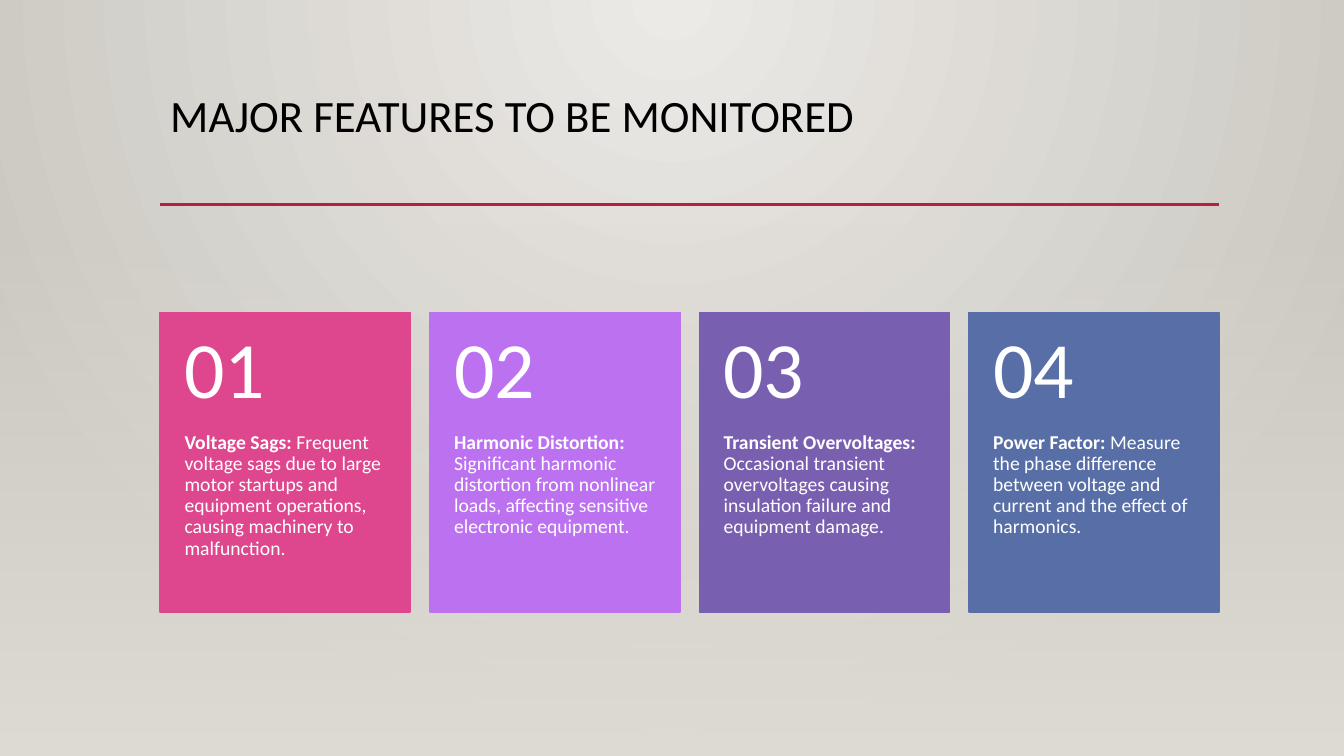
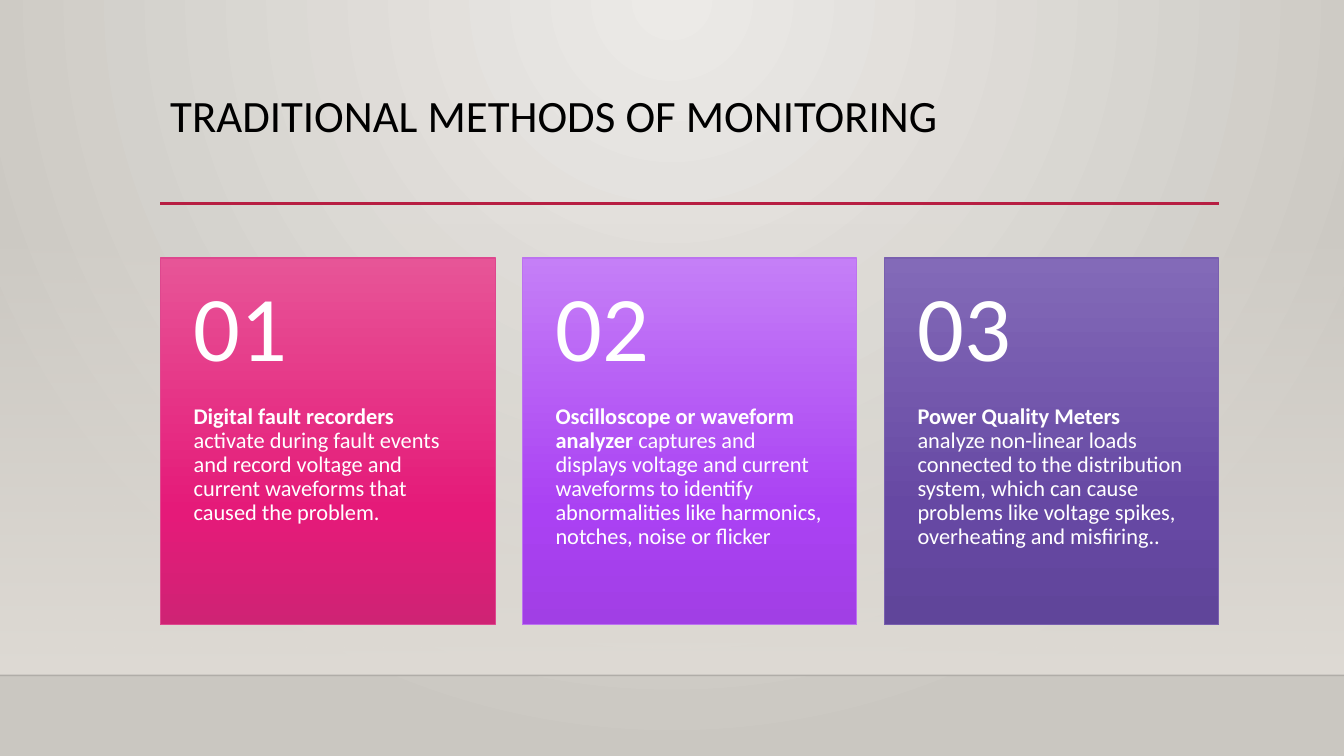
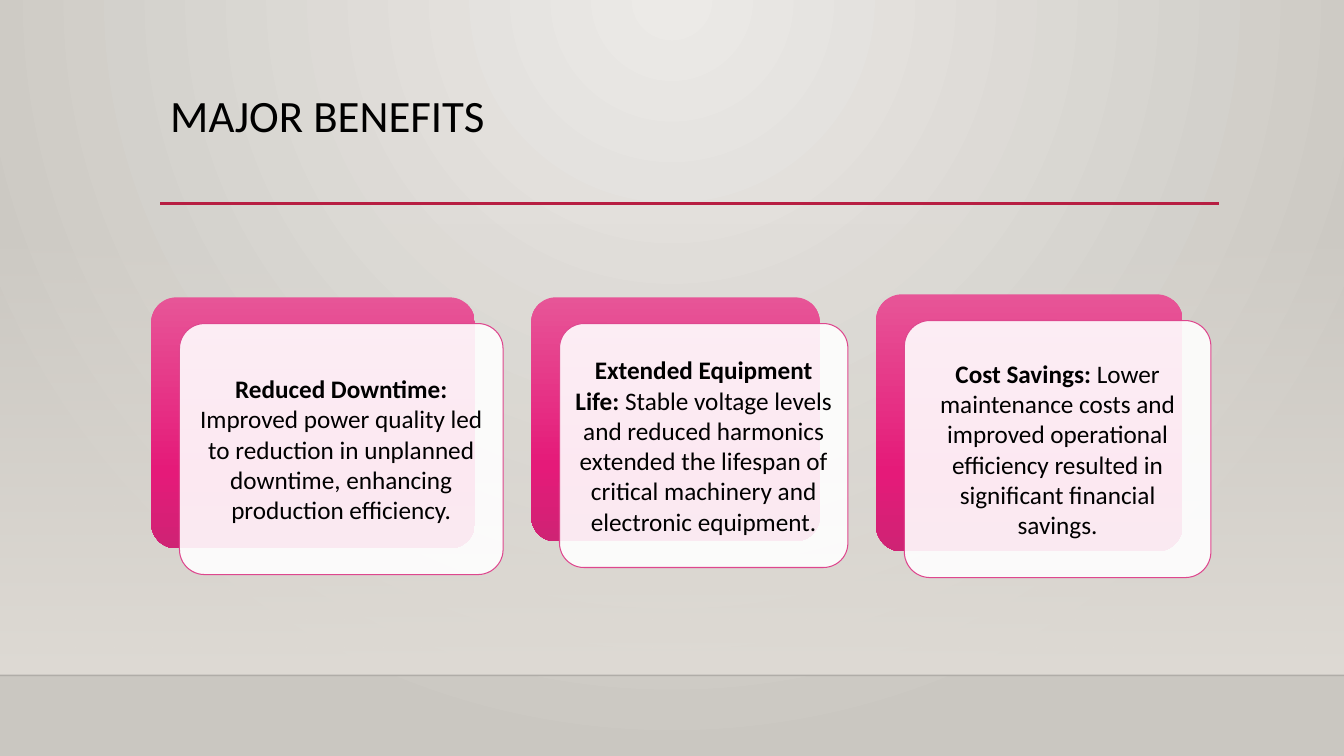
"""Build three slides on power quality monitoring."""
from lxml import etree
from pptx import Presentation
from pptx.dml.color import RGBColor
from pptx.enum.shapes import MSO_CONNECTOR, MSO_SHAPE
from pptx.enum.text import MSO_ANCHOR, PP_ALIGN
from pptx.oxml.ns import qn
from pptx.util import Inches, Pt

RECT, ROUND = MSO_SHAPE.RECTANGLE, MSO_SHAPE.ROUNDED_RECTANGLE
LINE = MSO_CONNECTOR.STRAIGHT
TOP, MIDDLE = MSO_ANCHOR.TOP, MSO_ANCHOR.MIDDLE
LEFT, CENTER = PP_ALIGN.LEFT, PP_ALIGN.CENTER

FONT = "Calibri"
BLACK = RGBColor(0x00, 0x00, 0x00)
WHITE = RGBColor(0xFF, 0xFF, 0xFF)
LIGHT = RGBColor(0xEC, 0xEA, 0xE7)
STONE = RGBColor(0xCA, 0xC7, 0xC1)
SAND = RGBColor(0xDF, 0xDB, 0xD5)
RED = RGBColor(0xB7, 0x1E, 0x42)
PINK = RGBColor(0xDE, 0x47, 0x8E)
LILAC = RGBColor(0xBC, 0x72, 0xF0)
VIOLET = RGBColor(0x79, 0x5F, 0xAF)
BLUE = RGBColor(0x58, 0x6E, 0xA6)

SHADES = {
    PINK: (RGBColor(0xE7, 0x55, 0x97), RGBColor(0xE5, 0x1A, 0x79), RGBColor(0xCF, 0x23, 0x74)),
    LILAC: (RGBColor(0xC5, 0x7F, 0xF7), RGBColor(0xAA, 0x41, 0xF3), RGBColor(0xA1, 0x3F, 0xE5)),
    VIOLET: (RGBColor(0x83, 0x6A, 0xB8), RGBColor(0x66, 0x48, 0xA3), RGBColor(0x60, 0x45, 0x9A)),
}
HUES = (PINK, LILAC, VIOLET, BLUE)

WIDE, HIGH = 13.33, 7.5
EDGE, SPAN = 1.59, 10.5
FLOOR = 6.7

FEATURES = (
    ("Voltage Sags:", " Frequent voltage sags due to large motor startups and equipment operations, "
     "causing machinery to malfunction."),
    ("Harmonic Distortion:", " Significant harmonic distortion from nonlinear loads, "
     "affecting sensitive electronic equipment."),
    ("Transient Overvoltages:", " Occasional transient overvoltages causing insulation failure "
     "and equipment damage."),
    ("Power Factor:", " Measure the phase difference between voltage and current "
     "and the effect of harmonics."),
)
METHODS = (
    ("Digital fault recorders", " activate during fault events and record voltage and "
     "current waveforms that caused the problem."),
    ("Oscilloscope or waveform analyzer", " captures and displays voltage and current waveforms "
     "to identify abnormalities like harmonics, notches, noise or flicker"),
    ("Power Quality Meters", " analyze non-linear loads connected to the distribution system, "
     "which can cause problems like voltage spikes, overheating and misfiring.."),
)
BENEFITS = (
    ((1.5, 2.95, 3.21, 2.49), "Reduced Downtime:",
     " Improved power quality led to reduction in unplanned downtime, "
     "enhancing production efficiency."),
    ((5.27, 2.95, 2.86, 2.42), "Extended Equipment Life:",
     " Stable voltage levels and reduced harmonics extended the lifespan of "
     "critical machinery and electronic equipment."),
    ((8.69, 2.92, 3.04, 2.55), "Cost Savings:",
     " Lower maintenance costs and improved operational efficiency resulted in "
     "significant financial savings."),
)


def fade(node, share):
    """Make every colour under a node show at a share in percent."""
    for tone in node.iter(qn("a:srgbClr")):
        etree.SubElement(tone, qn("a:alpha"), val=str(share * 1000))


def blend(owner, stops, round_=False):
    """Swap the solid fill of an element for a gradient."""
    grad = etree.Element(qn("a:gradFill"), rotWithShape="1")
    listing = etree.SubElement(grad, qn("a:gsLst"))
    for place, tone, share in stops:
        stop = etree.SubElement(listing, qn("a:gs"), pos=str(place * 1000))
        etree.SubElement(stop, qn("a:srgbClr"), val=str(tone))
        if share < 100:
            fade(stop, share)
    if round_:
        ring = etree.SubElement(grad, qn("a:path"), path="circle")
        etree.SubElement(ring, qn("a:fillToRect"), l="43000", t="0", r="43000", b="100000")
    else:
        etree.SubElement(grad, qn("a:lin"), ang="5400000", scaled="0")
    owner.replace(owner.find(qn("a:solidFill")), grad)


def shade(shape, hue):
    """Give a shape the three-step gradient of a hue."""
    stops = [(place, tone, 100) for place, tone in zip((0, 69, 100), SHADES[hue])]
    blend(shape._element.spPr, stops)


def block(slide, kind, at, fill, edge=None, weight=0.75):
    """Add a flat preset shape."""
    shape = slide.shapes.add_shape(kind, *map(Inches, at))
    shape.shadow.inherit = False
    shape.fill.solid()
    shape.fill.fore_color.rgb = fill
    if edge is None:
        shape.line.fill.background()
    else:
        shape.line.color.rgb = edge
        shape.line.width = Pt(weight)
    return shape


def rule(slide, left, right, y, tone, weight):
    """Add a level line."""
    line = slide.shapes.add_connector(LINE, *map(Inches, (left, y, right, y)))
    line.line.color.rgb = tone
    line.line.width = Pt(weight)
    etree.SubElement(line._element.spPr, qn("a:effectLst"))
    return line


def write(shape, parts, size, tone, pads, anchor=TOP, align=LEFT, lead=0.9):
    """Fill a shape with one paragraph of (text, bold) parts."""
    frame = shape.text_frame
    frame.word_wrap = True
    frame.vertical_anchor = anchor
    (frame.margin_left, frame.margin_top,
     frame.margin_right, frame.margin_bottom) = map(Inches, pads)
    para = frame.paragraphs[0]
    para.alignment = align
    para.line_spacing = lead
    for text, bold in parts:
        run = para.add_run()
        run.text = text
        run.font.name = FONT
        run.font.size = Pt(size)
        run.font.bold = bold
        run.font.color.rgb = tone


def label(slide, at, *args, **more):
    """Add a text box."""
    write(slide.shapes.add_textbox(*map(Inches, at)), *args, **more)


def page(deck, title, floor=True):
    """Start a slide with backdrop, veil, rule and title."""
    slide = deck.slides.add_slide(deck.slide_layouts[6])
    fill = slide.background.fill
    fill.solid()
    fill.fore_color.rgb = LIGHT
    blend(next(slide.element.iter(qn("p:bgPr"))), ((0, LIGHT, 100), (100, STONE, 100)), True)
    base = FLOOR if floor else HIGH
    veil = block(slide, RECT, (0, 2.21, WIDE, base - 2.21), SAND)
    blend(veil._element.spPr, ((0, SAND, 0), (100, SAND, 100)))
    if floor:
        fade(rule(slide, 0, WIDE, FLOOR, BLACK, 1)._element.spPr, 20)
    rule(slide, EDGE, EDGE + SPAN, 2.02 if floor else 2.03, RED, 2.5)
    label(slide, (EDGE, 0.88, SPAN, 1.15), [(title, False)], 32, BLACK, (0.1, 0.05, 0.1, 0.05))
    return slide


def cards(slide, items, top, wide, high, pad, sizes, weight, shaded=False):
    """Add a row of numbered cards across the content width."""
    step = (SPAN - wide) / (len(items) - 1)
    head = high * 0.4
    for spot, ((lead, body), hue) in enumerate(zip(items, HUES)):
        left = EDGE + spot * step
        card = block(slide, RECT, (left, top, wide, high), hue, hue, weight)
        if shaded:
            shade(card, hue)
        label(slide, (left, top + head, wide, high - head), [(lead, True), (body, False)],
              sizes[0], WHITE, (pad, 0, pad, 0.36))
        label(slide, (left, top, wide, head), [(f"{spot + 1:02}", False)],
              sizes[1], WHITE, (pad, 0.18, pad, 0.18), anchor=MIDDLE)


def stack(slide, at, lead, body):
    """Add a pink panel with a white text panel shifted over it."""
    left, top, wide, high = at
    back = block(slide, ROUND, at, PINK)
    shade(back, PINK)
    front = block(slide, ROUND, (left + 0.28, top + 0.26, wide, high), WHITE, PINK)
    fade(front._element.spPr.find(qn("a:solidFill")), 90)
    for panel in (back, front):
        panel.adjustments[0] = 0.1
    write(front, [(lead, True), (body, False)], 18, BLACK, (0.07,) * 4, MIDDLE, CENTER, 1.0)


def main():
    """Build and save the deck."""
    deck = Presentation()
    deck.slide_width, deck.slide_height = Inches(WIDE), Inches(HIGH)
    slide = page(deck, "MAJOR FEATURES TO BE MONITORED", floor=False)
    cards(slide, FEATURES, 3.1, 2.48, 2.97, 0.24, (14, 57), 1.25)
    slide = page(deck, "TRADITIONAL METHODS OF MONITORING")
    cards(slide, METHODS, 2.56, 3.32, 3.64, 0.33, (16, 66), 0.75, shaded=True)
    slide = page(deck, "MAJOR BENEFITS")
    for at, lead, body in BENEFITS:
        stack(slide, at, lead, body)
    deck.save("out.pptx")


if __name__ == "__main__":
    main()
